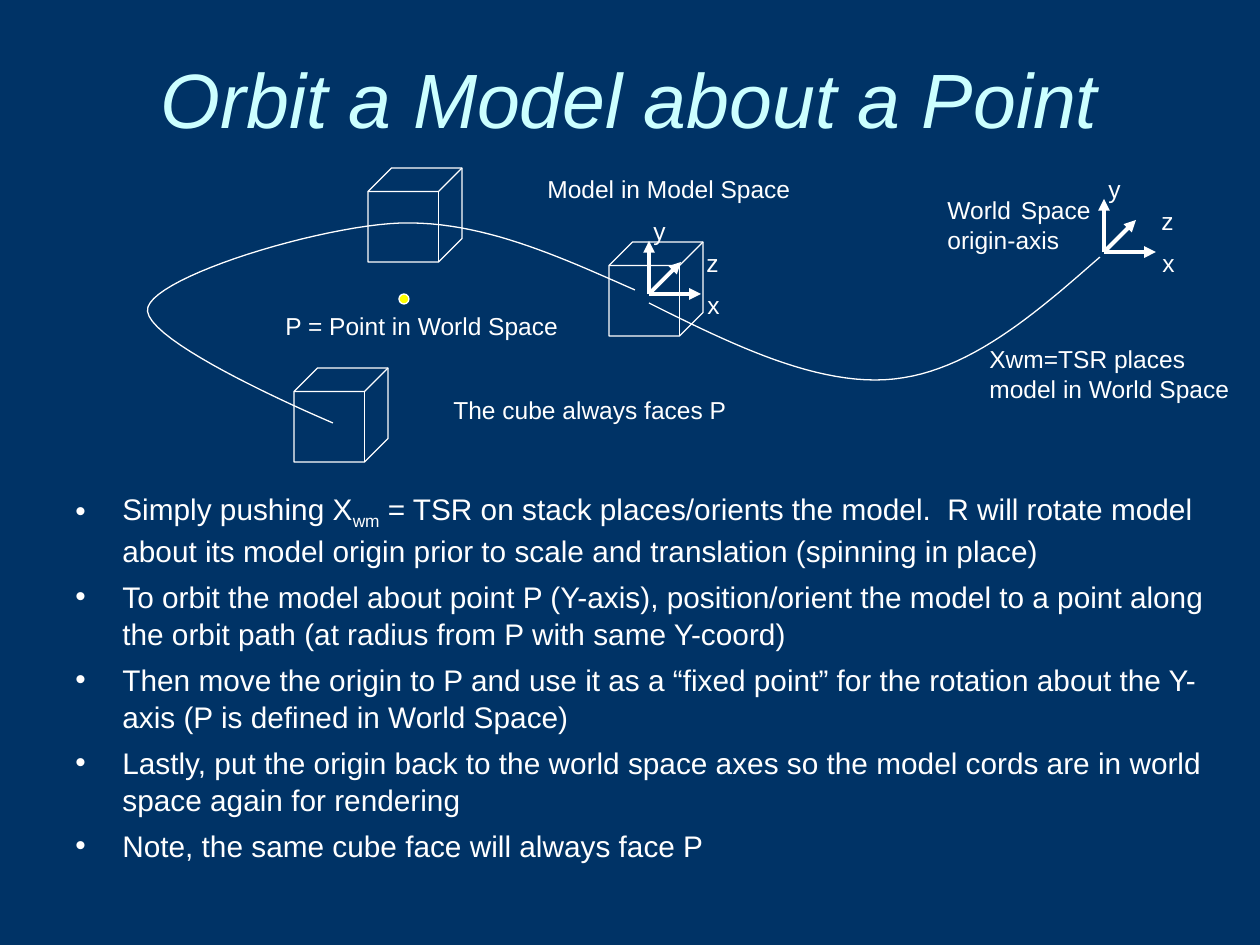
from lxml.etree import SubElement
from pptx import Presentation
from pptx.dml.color import RGBColor
from pptx.enum.shapes import MSO_CONNECTOR, MSO_SHAPE
from pptx.enum.text import MSO_ANCHOR, MSO_AUTO_SIZE, PP_ALIGN
from pptx.oxml.ns import qn
from pptx.util import Pt

SCALE = 914400 / 126
COLOURS = {"navy": "003366", "ice": "CCFFFF", "white": "FFFFFF", "yellow": "FFFF00"}
LEFT, CENTER, JUSTIFY = PP_ALIGN.LEFT, PP_ALIGN.CENTER, PP_ALIGN.JUSTIFY


def emu(*lengths):
    return [round(length * SCALE) for length in lengths]


def colour(name):
    return RGBColor.from_string(COLOURS[name])


def bezier(start, first, second, end, steps=24):
    """Points along one cubic curve, without its start."""
    points = []
    for step in range(1, steps + 1):
        t = step / steps
        weights = ((1 - t) ** 3, 3 * t * (1 - t) ** 2, 3 * t * t * (1 - t), t ** 3)
        points.append(tuple(
            sum(weight * value for weight, value in zip(weights, values))
            for values in zip(start, first, second, end)))
    return points


class Diagram:
    font = "Arial"
    label_size = 14
    body_size = 17

    def __init__(self, page):
        self.page = page
        page.background.fill.solid()
        page.background.fill.fore_color.rgb = colour("navy")

    def format_runs(self, para, size, ink="white", italic=False):
        for span in para.runs:
            span.font.name = self.font
            span.font.size = Pt(size)
            span.font.italic = italic
            span.font.color.rgb = colour(ink)

    def outline(self, shape, fill=None):
        shape.shadow.inherit = False
        if fill:
            shape.fill.solid()
            shape.fill.fore_color.rgb = colour(fill)
        else:
            shape.fill.background()
        shape.line.color.rgb = colour("white")
        shape.line.width = Pt(0.75)

    def title(self, text, *place):
        box = self.page.shapes.title
        box.left, box.top, box.width, box.height = emu(*place)
        frame = box.text_frame
        frame.text = text
        frame.vertical_anchor = MSO_ANCHOR.MIDDLE
        frame.paragraphs[0].alignment = CENTER
        self.format_runs(frame.paragraphs[0], 44, "ice", italic=True)

    def bullets(self, items, *place):
        """Each item is a list of (text, is_subscript) pairs."""
        frame = self.page.shapes.add_textbox(*emu(*place)).text_frame
        frame.word_wrap = True
        for index, item in enumerate(items):
            para = frame.add_paragraph() if index else frame.paragraphs[0]
            para.space_before = Pt(5)
            para.line_spacing = 1.04
            for text, subscript in item:
                span = para.add_run()
                span.text = text
                if subscript:
                    span.font._element.set("baseline", "-25000")
            self.format_runs(para, self.body_size)
            props = para._p.get_or_add_pPr()
            indent = emu(47)[0]
            props.set("marL", str(indent))
            props.set("indent", str(-indent))
            SubElement(SubElement(props, qn("a:buClr")), qn("a:srgbClr"), val=COLOURS["white"])
            SubElement(props, qn("a:buFont"), typeface=self.font)
            SubElement(props, qn("a:buChar"), char="•")

    def label(self, text, *place, align=JUSTIFY, wrap=True, shapes=None):
        box = (shapes or self.page.shapes).add_textbox(*emu(*place))
        frame = box.text_frame
        frame.text = text
        frame.word_wrap = wrap
        frame.auto_size = MSO_AUTO_SIZE.SHAPE_TO_FIT_TEXT
        for para in frame.paragraphs:
            para.alignment = align
            self.format_runs(para, self.label_size)

    def arrow(self, shapes, *ends):
        line = shapes.add_connector(MSO_CONNECTOR.STRAIGHT, *emu(*ends))
        line.line.color.rgb = colour("white")
        line.line.width = Pt(2.25)
        SubElement(line.line._get_or_add_ln(), qn("a:tailEnd"), type="triangle")
        SubElement(line._element.spPr, qn("a:effectLst"))

    def axes(self, x, y):
        """Grouped x, y and z arrows with their letters, from an origin."""
        shapes = self.page.shapes.add_group_shape().shapes
        for dx, dy in ((0, -53), (52, 0), (32, -32)):
            self.arrow(shapes, x, y, x + dx, y + dy)
        for letter, dx, dy in (("x", 46, -10), ("y", -8, -84), ("z ", 45, -52)):
            width = 44 if letter == "z " else 38
            self.label(letter, x + dx, y + dy, width, 43, wrap=False, shapes=shapes)

    def cube(self, x, y, side=94):
        self.outline(self.page.shapes.add_shape(MSO_SHAPE.CUBE, *emu(x, y, side, side)))

    def dot(self, x, y, size=10):
        shape = self.page.shapes.add_shape(MSO_SHAPE.OVAL, *emu(x, y, size, size))
        self.outline(shape, "yellow")

    def curve(self, start, *segments):
        """Smooth open path; a segment is two control points and an end."""
        builder = self.page.shapes.build_freeform(*emu(*start))
        points = []
        for segment in segments:
            points += bezier(start, *segment)
            start = segment[-1]
        builder.add_line_segments([emu(*point) for point in points], close=False)
        self.outline(builder.convert_to_shape())


BULLETS = [
    [("Simply pushing X", False), ("wm", True),
     (" = TSR on stack places/orients the model.  R will rotate model about its "
      "model origin prior to scale and translation (spinning in place)", False)],
    [("To orbit the model about point P (Y-axis), position/orient the model to a "
      "point along the orbit path (at radius from P with same Y-coord)", False)],
    [("Then move the origin to P and use it as a “fixed point” for the rotation "
      "about the Y-axis (P is defined in World Space)", False)],
    [("Lastly, put the origin back to the world space axes so the model cords are "
      "in world space again for rendering", False)],
    [("Note, the same cube face will always face P", False)],
]


def main():
    deck = Presentation()
    deck.slide_width, deck.slide_height = emu(1260, 945)
    diagram = Diagram(deck.slides.add_slide(deck.slide_layouts[5]))

    diagram.title("Orbit a Model about a Point", 63, 38, 1134, 120)
    diagram.bullets(BULLETS, 63, 483, 1155, 431)

    diagram.axes(1104, 252)
    diagram.cube(609, 242)
    diagram.axes(649, 294)
    diagram.label("Model in Model Space", 535, 168, 273, 43)
    diagram.label("World Space \norigin-axis", 935, 189, 168, 72)

    diagram.curve((649, 303), ((733, 345), (819, 387), (894, 379)),
                  ((969, 371), (1034, 315), (1100, 257)))
    diagram.dot(399, 294)
    diagram.label("P = Point in World Space", 273, 305, 305, 43, align=LEFT)
    diagram.curve((635, 290), ((558, 256), (482, 221), (401, 223)),
                  ((320, 226), (159, 275), (148, 307)),
                  ((136, 340), (333, 423), (333, 423)))
    diagram.cube(294, 368)
    diagram.cube(368, 168)
    diagram.label("Xwm=TSR places model in World Space", 977, 338, 273, 72, align=LEFT)
    diagram.label("The cube always faces P", 441, 389, 315, 43)

    deck.save("out.pptx")


if __name__ == "__main__":
    main()
